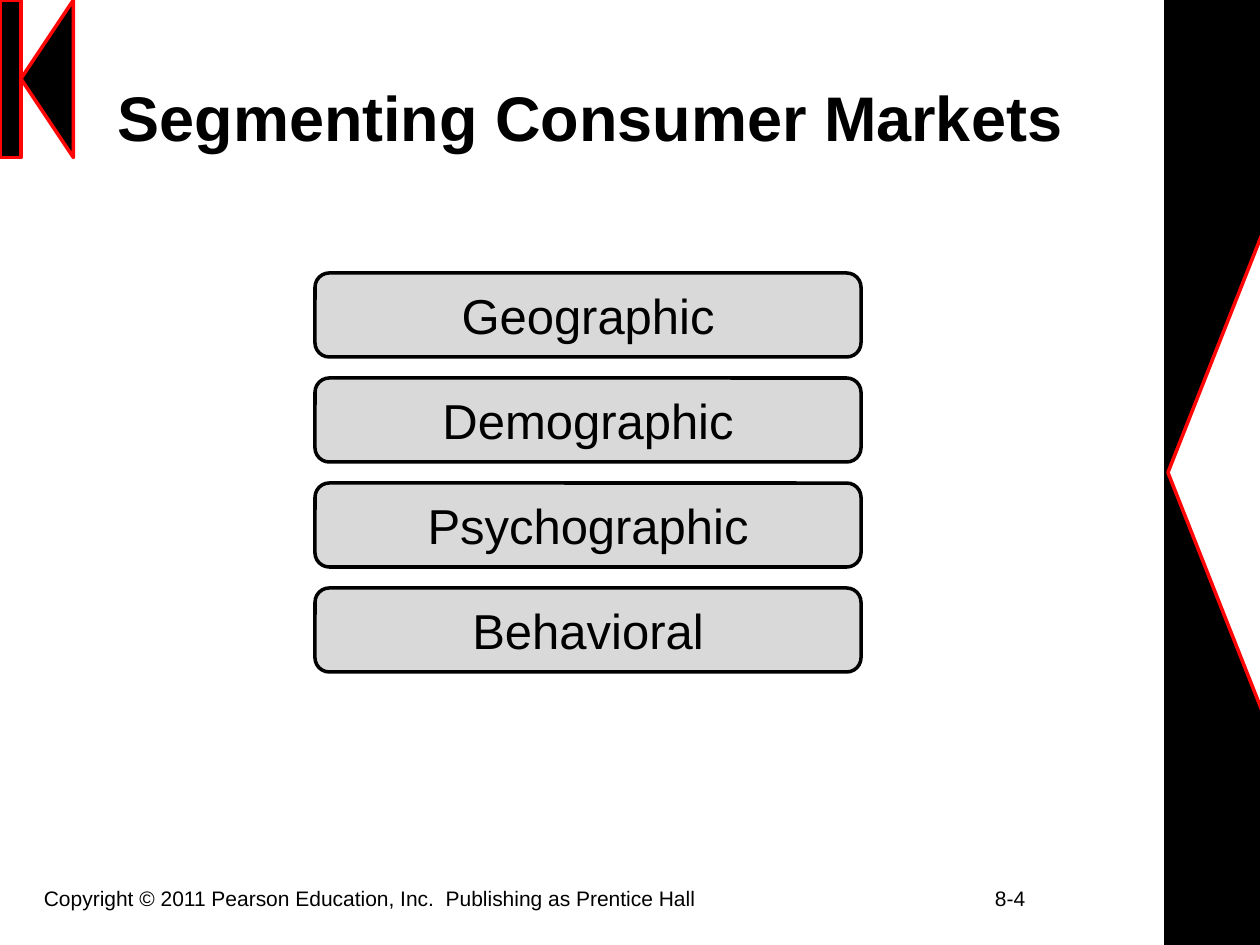
import pptx
import pptx.util
import pptx.dml.color
import pptx.enum.shapes
import pptx.enum.text
import pptx.oxml.ns
import lxml.etree

Pt = pptx.util.Pt
RGBColor = pptx.dml.color.RGBColor
SHAPE = pptx.enum.shapes.MSO_SHAPE
ALIGN = pptx.enum.text.PP_ALIGN
ANCHOR = pptx.enum.text.MSO_ANCHOR

BLACK = RGBColor(0x00, 0x00, 0x00)
WHITE = RGBColor(0xFF, 0xFF, 0xFF)
RED = RGBColor(0xFF, 0x05, 0x05)
GRAY = RGBColor(0xD9, 0xD9, 0xD9)


def write_text(frame, text, size=28, bold=False, align=ALIGN.LEFT, anchor=ANCHOR.TOP):
    frame.word_wrap = True
    frame.auto_size = pptx.enum.text.MSO_AUTO_SIZE.NONE
    frame.vertical_anchor = anchor
    para = frame.paragraphs[0]
    para.alignment = align
    span = para.add_run()
    span.text = text
    span.font.name = "Arial"
    span.font.size = Pt(size)
    span.font.bold = bold
    span.font.color.rgb = BLACK
    return para


def add_block(page, kind, box, fill, line, rotation=0):
    block = page.shapes.add_shape(kind, *(Pt(length) for length in box))
    block.rotation = rotation
    block.shadow.inherit = False
    block.fill.solid()
    block.fill.fore_color.rgb = fill
    block.line.color.rgb = line
    block.line.width = Pt(2)
    return block


def add_left_triangle(page, box, fill):
    left, top, width, height = box
    turned = (left + (width - height) / 2, top + (height - width) / 2, height, width)
    add_block(page, SHAPE.ISOSCELES_TRIANGLE, turned, fill, RED, rotation=270)


def add_side_band(page, box):
    left, top, width, height = box
    add_block(page, SHAPE.RECTANGLE, box, BLACK, BLACK)
    add_left_triangle(page, (left + 1.4, top, 106.6, height), WHITE)


def add_corner_mark(page, box):
    left, top, width, height = box
    bar_width = 12
    add_left_triangle(page, (left + bar_width, top, width - bar_width, height), BLACK)
    add_block(page, SHAPE.RECTANGLE, (left, top, bar_width, height), BLACK, RED)


def add_title(page, box):
    title = page.shapes.title
    title.left, title.top, title.width, title.height = (Pt(length) for length in box)
    write_text(title.text_frame, "Segmenting Consumer Markets",
               size=36, bold=True, anchor=ANCHOR.MIDDLE)


def add_segments(page, box, names, gap=12):
    left, top, width, height = box
    bar_height = (height - gap * (len(names) - 1)) / len(names)
    for index, name in enumerate(names):
        bar_top = top + index * (bar_height + gap)
        bar = add_block(page, SHAPE.ROUNDED_RECTANGLE,
                        (left, bar_top, width, bar_height), GRAY, BLACK)
        bar.adjustments[0] = 0.17
        write_text(bar.text_frame, name, align=ALIGN.CENTER, anchor=ANCHOR.MIDDLE)


def add_footer(page, box, number_offset):
    footer = page.shapes.add_textbox(*(Pt(length) for length in box))
    para = write_text(
        footer.text_frame,
        "Copyright © 2011 Pearson Education, Inc.  Publishing as Prentice Hall\t8-4",
        size=12)
    qualify = pptx.oxml.ns.qn
    stops = lxml.etree.SubElement(para._p.get_or_add_pPr(), qualify("a:tabLst"))
    lxml.etree.SubElement(stops, qualify("a:tab"),
                          pos=str(int(Pt(number_offset))), algn="l")


def main():
    deck = pptx.Presentation()
    deck.slide_width, deck.slide_height = Pt(720), Pt(540)
    page = deck.slides.add_slide(deck.slide_layouts[5])
    page.background.fill.solid()
    page.background.fill.fore_color.rgb = WHITE
    add_side_band(page, (666, 0, 54, 540))
    add_corner_mark(page, (0, 0, 42, 90))
    add_footer(page, (18, 502.5, 678, 37.5), number_offset=543.5)
    add_title(page, (60, 21.6, 606, 90))
    add_segments(page, (180, 156, 312, 228),
                 ["Geographic", "Demographic", "Psychographic", "Behavioral"])
    deck.save("out.pptx")


if __name__ == "__main__":
    main()
